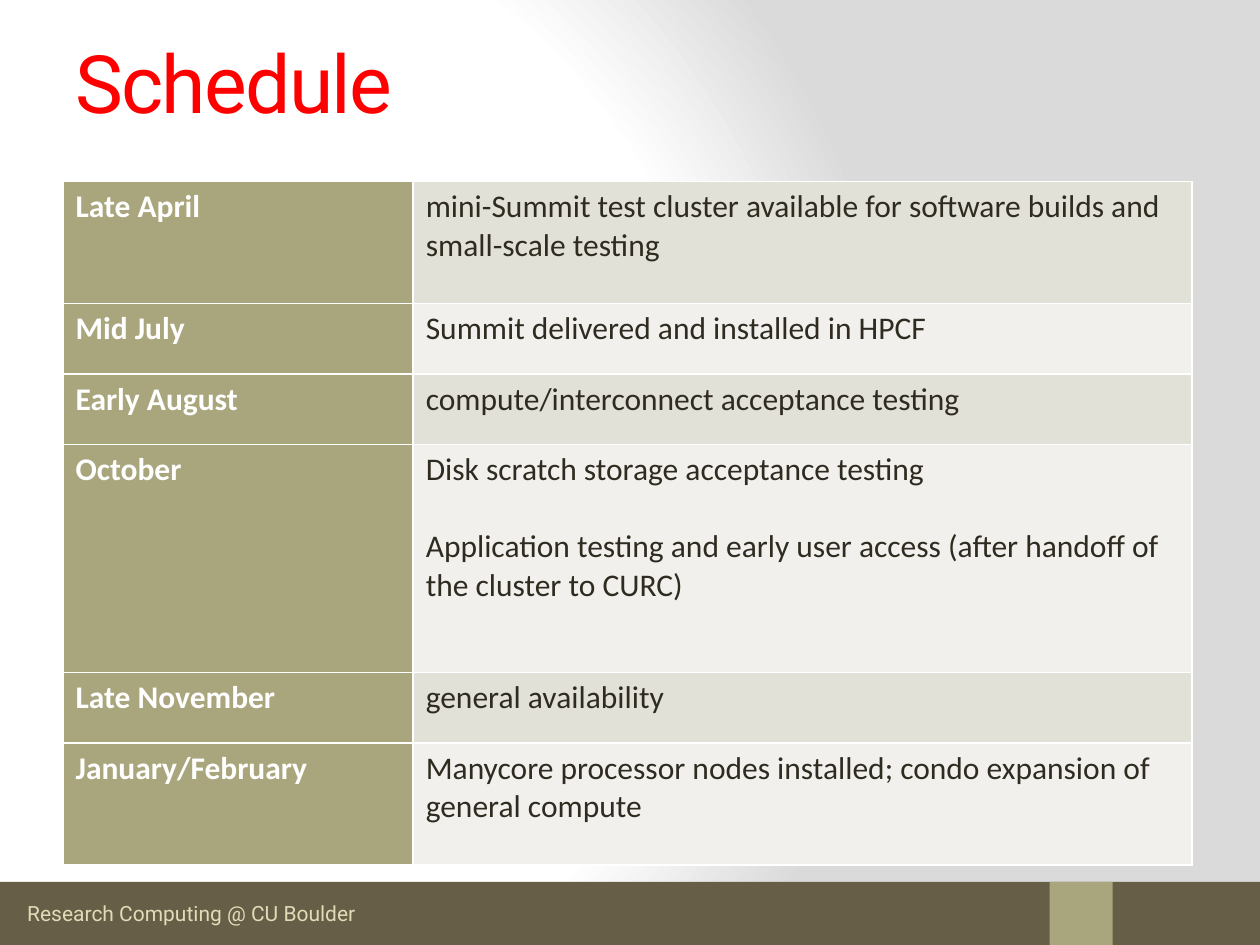
import pptx
import pptx.util
import pptx.oxml
from pptx.dml.color import RGBColor
from pptx.enum.shapes import MSO_SHAPE
from pptx.enum.text import MSO_ANCHOR, MSO_AUTO_SIZE, PP_ALIGN
from pptx.oxml.ns import nsdecls, qn
from pptx.util import Cm, Pt

# Content
TITLE = "Schedule"
FOOTER = "Research Computing @ CU Boulder"
# date, row height in cm, paragraphs
SCHEDULE = [
    ("Late April", 2.46, ["mini-Summit test cluster available for software builds "
                          "and small-scale testing"]),
    ("Mid July", 1.42, ["Summit delivered and installed in HPCF"]),
    ("Early August", 1.42, ["compute/interconnect acceptance testing"]),
    ("October", 4.6, ["Disk scratch storage acceptance testing",
                      "Application testing and early user access (after handoff "
                      "of the cluster to CURC)"]),
    ("Late November", 1.42, ["general availability"]),
    ("January/February", 2.46, ["Manycore processor nodes installed; condo "
                                "expansion of general compute"]),
]
COLORS = {"title": "FF0000", "bar": "675E47", "accent": "A9A57C", "footer": "DFDCB7",
          "text": "2F2B20", "white": "FFFFFF", "odd": "E2E1D7", "even": "F1F0EC",
          "shade": "DADADA"}
COL_WIDTHS = (7.06, 15.7)
W, H, BAR_H = 25.4, 19.05, 1.27


def rgb(name):
    return RGBColor.from_string(COLORS[name])


def style(p, font, size, color, bold=False):
    p.alignment = PP_ALIGN.LEFT
    p.font.name, p.font.size, p.font.bold = font, Pt(size), bold
    p.font.color.rgb = rgb(color)


def add_bar(s, left, width, color):
    sp = s.shapes.add_shape(MSO_SHAPE.RECTANGLE, Cm(left), Cm(H - BAR_H), Cm(width), Cm(BAR_H))
    sp.shadow.inherit = False
    sp.fill.solid()
    sp.fill.fore_color.rgb = rgb(color)
    sp.line.fill.background()


def fill_cell(cell, paragraphs, fill, color, bold):
    cell.fill.solid()
    cell.fill.fore_color.rgb = rgb(fill)
    tf = cell.text_frame
    for i, text in enumerate(paragraphs):
        p = tf.add_paragraph() if i else tf.paragraphs[0]
        p.text = text
        if i:
            p.space_before = Pt(22)
        style(p, "Calibri", 18, color, bold)
    # White borders go before the fill
    for i, side in enumerate(("lnL", "lnR", "lnT", "lnB")):
        cell._tc.get_or_add_tcPr().insert(i, pptx.oxml.parse_xml(
            f'<a:{side} {nsdecls("a")} w="12700"><a:solidFill>'
            f'<a:srgbClr val="{COLORS["white"]}"/></a:solidFill></a:{side}>'))


prs = pptx.Presentation()
prs.slide_width, prs.slide_height = Cm(W), Cm(H)
s = prs.slides.add_slide(prs.slide_layouts[5])

# Background: circular gradient
s.background.fill.gradient()
grad = s.element.find(".//" + qn("a:gradFill"))
for child in list(grad):
    grad.remove(child)
stops = "".join(f'<a:gs pos="{pos * 1000}"><a:srgbClr val="{COLORS[c]}"/></a:gs>'
                for pos, c in ((0, "white"), (75, "white"), (100, "shade")))
for xml in (f'<a:gsLst {nsdecls("a")}>{stops}</a:gsLst>',
            f'<a:path {nsdecls("a")} path="circle">'
            '<a:fillToRect l="20000" t="50000" r="100000" b="50000"/></a:path>'):
    grad.append(pptx.oxml.parse_xml(xml))

# Footer
add_bar(s, 0, W, "bar")
add_bar(s, 21.16, 1.27, "accent")
tf = s.shapes.add_textbox(Cm(0.3), Cm(18.03), Cm(7.4), Cm(0.77)).text_frame
tf.word_wrap = False
tf.text = FOOTER
style(tf.paragraphs[0], "Roboto", 12, "footer")

# Title
title = s.shapes.title
title.left, title.top, title.width, title.height = Cm(1.27), Cm(0.05), Cm(22.76), Cm(3.18)
tf = title.text_frame
tf.text = TITLE
tf.auto_size, tf.vertical_anchor = MSO_AUTO_SIZE.NONE, MSO_ANCHOR.MIDDLE
style(tf.paragraphs[0], "Roboto", 46, "title")
tf.paragraphs[0].runs[0].font._element.set("spc", "-100")

# Schedule table
table = s.shapes.add_table(len(SCHEDULE), 2, Cm(1.27), Cm(3.66), Cm(sum(COL_WIDTHS)),
                           Cm(sum(row[1] for row in SCHEDULE))).table
table.first_row, table.first_col = False, True
for col, width in zip(table.columns, COL_WIDTHS):
    col.width = Cm(width)
for i, (date, height, events) in enumerate(SCHEDULE):
    table.rows[i].height = Cm(height)
    fill_cell(table.cell(i, 0), [date], "accent", "white", True)
    fill_cell(table.cell(i, 1), events, "even" if i % 2 else "odd", "text", False)

prs.save("out.pptx")
